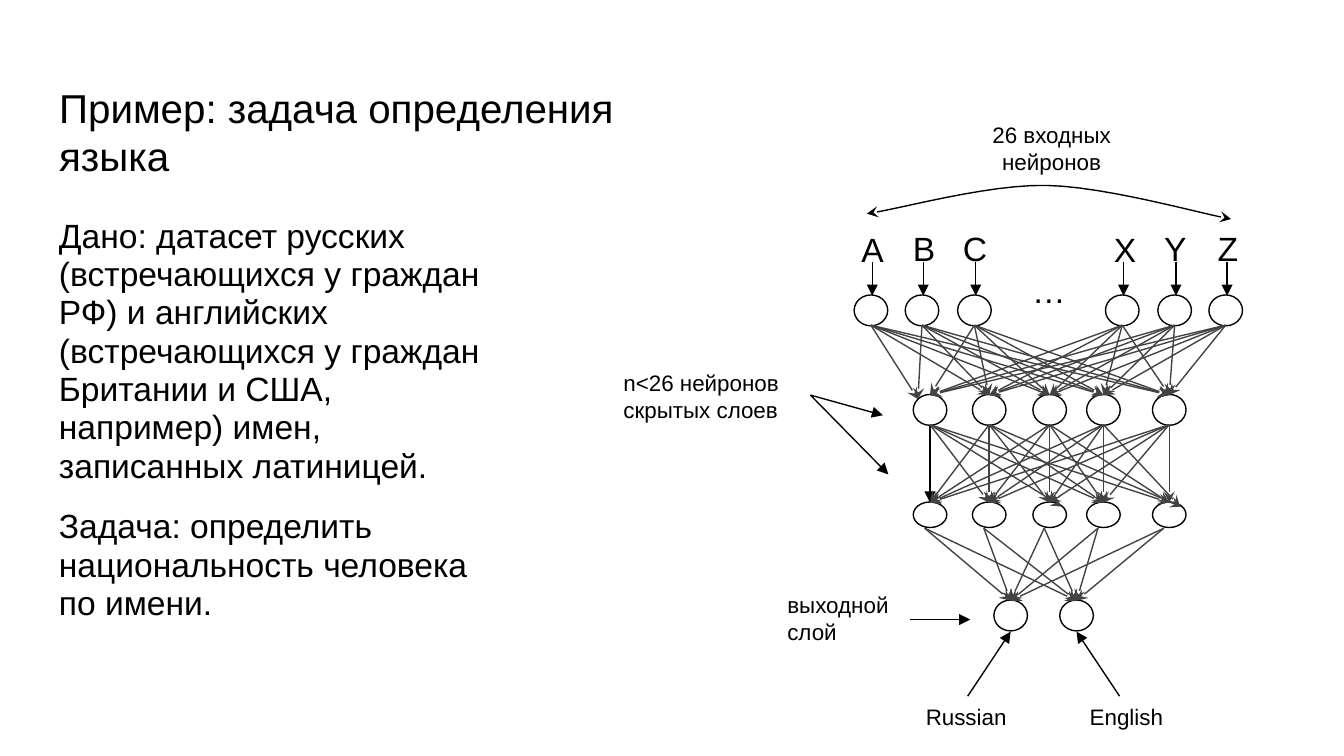
from lxml import etree
from pptx import Presentation
from pptx.dml.color import RGBColor
from pptx.enum.shapes import MSO_CONNECTOR, MSO_SHAPE
from pptx.enum.text import MSO_ANCHOR, MSO_AUTO_SIZE, PP_ALIGN
from pptx.oxml.ns import qn
from pptx.util import Inches, Pt

STRAIGHT, OVAL = MSO_CONNECTOR.STRAIGHT, MSO_SHAPE.OVAL
TOP, MIDDLE, BOTTOM = MSO_ANCHOR.TOP, MSO_ANCHOR.MIDDLE, MSO_ANCHOR.BOTTOM
LEFT, CENTER = PP_ALIGN.LEFT, PP_ALIGN.CENTER
BLACK, GRAY, WHITE = "000000", "434343", "FFFFFF"


def rgb(value):
    return RGBColor.from_string(value)


def write(shape, text, size=12, color=BLACK, align=LEFT, anchor=TOP,
          spacing=None, gap=0):
    """Fill a shape with text, one paragraph per line of the string."""
    tf = shape.text_frame
    tf.word_wrap = True
    tf.auto_size = MSO_AUTO_SIZE.NONE
    tf.vertical_anchor = anchor
    tf.margin_left = tf.margin_right = Inches(0.1)
    tf.margin_top = tf.margin_bottom = Inches(0.1)
    for i, line in enumerate(text.split("\n")):
        p = tf.add_paragraph() if i else tf.paragraphs[0]
        p.alignment = align
        p.space_before = Pt(gap if i else 0)
        if spacing:
            p.line_spacing = spacing
        r = p.add_run()
        r.text = line
        r.font.name, r.font.size = "Arial", Pt(size)
        r.font.color.rgb = rgb(color)


def bezier(p0, p1, p2, p3, steps=12):
    """Points along a cubic curve, without the first one."""
    for i in range(1, steps + 1):
        t = i / steps
        u = 1 - t
        yield tuple(Inches(u**3 * a + 3 * u * u * t * b + 3 * u * t * t * c + t**3 * d)
                    for a, b, c, d in zip(p0, p1, p2, p3))


class Diagram:
    line_width = Pt(0.75)

    def __init__(self, slide):
        self.s = slide

    def title(self, text, x, y, w, h, **fmt):
        sp = self.s.shapes.title
        sp.left, sp.top, sp.width, sp.height = map(Inches, (x, y, w, h))
        write(sp, text, **fmt)

    def text(self, text, x, y, w, h, **fmt):
        write(self.s.shapes.add_textbox(*map(Inches, (x, y, w, h))), text, **fmt)

    def stroke(self, sp, color, **ends):
        sp.line.color.rgb = rgb(color)
        sp.line.width = self.line_width
        ln = sp.line._get_or_add_ln()
        for end, kind in ends.items():
            etree.SubElement(ln, qn(f"a:{end}"), type=kind)

    def neuron(self, cx, cy, h):
        w = 0.25
        sp = self.s.shapes.add_shape(
            OVAL, *map(Inches, (cx - w / 2, cy - h / 2, w, h)))
        sp.shadow.inherit = False
        sp.fill.solid()
        sp.fill.fore_color.rgb = rgb(WHITE)
        self.stroke(sp, BLACK)

    def layer(self, xs, cy, h=0.23):
        for x in xs:
            self.neuron(x, cy, h)

    def arrow(self, start, end, color=BLACK, head="triangle"):
        sp = self.s.shapes.add_connector(STRAIGHT, *map(Inches, (*start, *end)))
        self.stroke(sp, color, tailEnd=head)
        etree.SubElement(sp._element.spPr, qn("a:effectLst"))

    def connect(self, xs, y1, targets, y2, special=None):
        """Join two layers; special moves an end point, or skips it with None."""
        special = special or {}
        for i, x1 in enumerate(xs):
            for j, x2 in enumerate(targets):
                end = special.get((i, j), (x2, y2))
                if end:
                    self.arrow((x1, y1), end, GRAY, "stealth")

    def curve(self, start, *segments):
        builder = self.s.shapes.build_freeform(*map(Inches, start))
        for c1, c2, end in segments:
            builder.add_line_segments(list(bezier(start, c1, c2, end)), close=False)
            start = end
        sp = builder.convert_to_shape()
        sp.shadow.inherit = False
        sp.fill.background()
        self.stroke(sp, BLACK, headEnd="stealth", tailEnd="stealth")


def main():
    prs = Presentation()
    prs.slide_width = Inches(10)
    prs.slide_height = prs.slide_width * 9 // 16
    d = Diagram(prs.slides.add_slide(prs.slide_layouts[5]))

    # Title and task
    d.title("Пример: задача определения языка", 0.34, 0.61, 5.21, 0.83,
            size=21.6, anchor=BOTTOM)
    d.text("Дано: датасет русских (встречающихся у граждан РФ) и английских "
           "(встречающихся у граждан Британии и США, например) имен, "
           "записанных латиницей.\n"
           "Задача: определить национальность человека по имени.",
           0.34, 1.52, 3.52, 3.59, size=18, spacing=0.95, gap=12)

    inputs = [6.48, 6.86, 7.25, 8.35, 8.74, 9.12]
    hidden = [6.92, 7.36, 7.81, 8.21, 8.7]
    outputs = [7.52, 8.01]

    # Input letters and neurons
    d.layer(inputs, 2.31)
    for x in inputs:
        d.arrow((x + 0.01, 1.95), (x + 0.01, 2.2))
    d.curve((6.45, 1.59), ((6.68, 1.56), (7.34, 1.37), (7.79, 1.38)),
            ((8.24, 1.39), (8.93, 1.59), (9.16, 1.63)))
    d.text("26 входных нейронов", 7.22, 0.98, 1.21, 0.24, align=CENTER, anchor=MIDDLE)
    for letter, x in zip("ABCXYZ", (6.31, 6.68, 7.06, 8.19, 8.55, 8.94)):
        y, w = (1.7, 0.29) if letter in "AX" else (1.69, 0.39)
        d.text(letter, x, y, w, 0.31, size=18, align=CENTER, anchor=MIDDLE)
    d.text("…", 7.52, 2.21, 0.57, 0.19, size=18, align=CENTER, anchor=BOTTOM)

    # First hidden layer
    d.layer(hidden, 3.05)
    d.connect(inputs, 2.42, hidden, 2.94, {(0, 0): (6.83, 2.97), (1, 0): (6.83, 2.97)})

    # Output layer
    d.layer(outputs, 4.58)
    d.connect([x - 0.04 for x in hidden], 3.93, outputs, 4.47)

    # Second hidden layer, whose first link is black
    d.layer(hidden, 3.83, 0.19)
    d.arrow((hidden[0], 3.16), (hidden[0], 3.74))
    d.connect(hidden, 3.16, hidden, 3.74,
              {(0, 0): None, (0, 2): (7.9, 3.77),
               (1, 4): (8.79, 3.77), (3, 4): (8.78, 3.77)})

    # Captions with pointers
    d.text("n<26 нейронов скрытых слоев", 4.54, 2.79, 1.49, 0.31, anchor=MIDDLE)
    for end in ((6.57, 3.09), (6.61, 3.53)):
        d.arrow((6.03, 2.94), end)
    d.text("выходной слой", 5.76, 4.3, 0.99, 0.31)
    d.arrow((6.77, 4.61), (7.22, 4.61))
    for name, left, start, x in zip(("Russian", "English"), (6.79, 8.01),
                                    (7.2, 8.33), outputs):
        d.text(name, left, 5.14, 0.84, 0.18)
        d.arrow((start, 5.18), (x, 4.7))

    prs.save("out.pptx")


if __name__ == "__main__":
    main()
